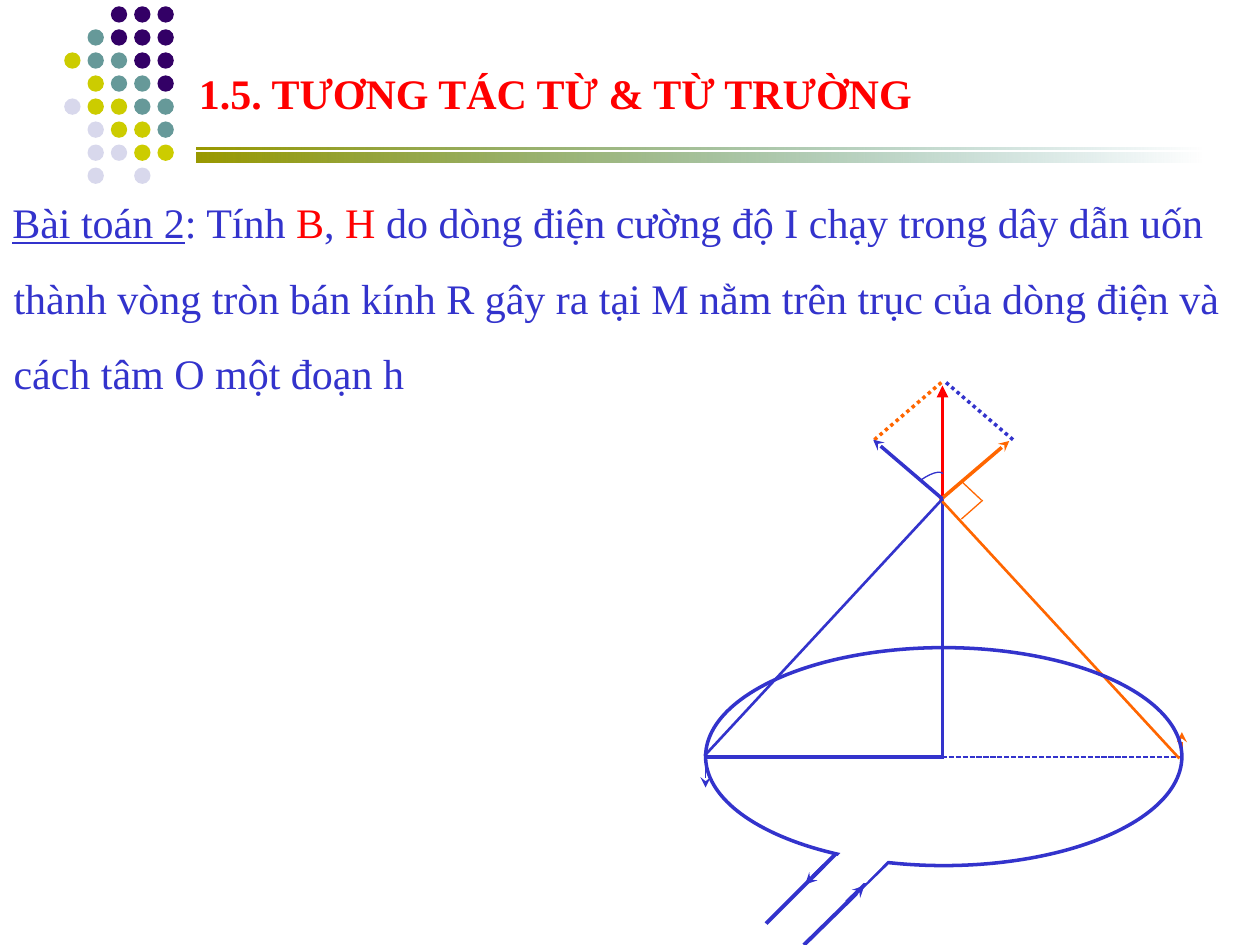
"""Build the slide on the magnetic field of a circular current loop."""
from lxml import etree
from pptx import Presentation
from pptx.dml.color import RGBColor
from pptx.enum import dml, shapes, text
from pptx.oxml import ns
from pptx.util import Inches, Pt

PURPLE = RGBColor(0x33, 0x00, 0x66)
TEAL = RGBColor(0x66, 0x99, 0x99)
LIME = RGBColor(0xCC, 0xCC, 0x00)
LILAC = RGBColor(0xD8, 0xD8, 0xEC)
OLIVE = RGBColor(0x99, 0x99, 0x00)
DARK_TEAL = RGBColor(0x00, 0x6D, 0x6D)
RED = RGBColor(0xFF, 0x00, 0x00)
BLUE = RGBColor(0x33, 0x33, 0xCC)
ORANGE = RGBColor(0xFF, 0x66, 0x00)
WHITE = RGBColor(0xFF, 0xFF, 0xFF)
FONT = "Times New Roman"
DASH = dml.MSO_LINE.SQUARE_DOT
DOT = dml.MSO_LINE.ROUND_DOT

deck = Presentation()
deck.slide_width, deck.slide_height = Inches(10), Inches(7.5)
page = deck.slides.add_slide(deck.slide_layouts[6])


def add_figure(kind, left, top, width, height, fill=None, line=None, weight=1):
    figure = page.shapes.add_shape(
        kind, Inches(left), Inches(top), Inches(width), Inches(height))
    figure.shadow.inherit = False
    if fill is None:
        figure.fill.background()
    else:
        figure.fill.solid()
        figure.fill.fore_color.rgb = fill
    if line is None:
        figure.line.fill.background()
    else:
        figure.line.color.rgb = line
        figure.line.width = Pt(weight)
    return figure


def add_text(left, top, width, height, runs):
    box = page.shapes.add_textbox(
        Inches(left), Inches(top), Inches(width), Inches(height))
    box.text_frame.word_wrap = True
    box.text_frame.vertical_anchor = text.MSO_ANCHOR.TOP
    para = box.text_frame.paragraphs[0]
    para.line_spacing = 1.5
    for words, color, bold, underline in runs:
        span = para.add_run()
        span.text = words
        span.font.name, span.font.size = FONT, Pt(24)
        span.font.color.rgb = color
        span.font.bold, span.font.underline = bold, underline
    return para


dot_colors = {"P": PURPLE, "T": TEAL, "Y": LIME, "L": LILAC}
dot_rows = ["..PPP", ".TPPP", "YTTPP", ".YTTP", "LYYTT", ".LYYT", ".LLYY", ".L.L."]
for row, codes in enumerate(dot_rows):
    for column, code in enumerate(codes):
        if code in dot_colors:
            add_figure(shapes.MSO_SHAPE.OVAL, 0.51 + 0.74 * column / 4,
                       0.05 + 1.28 * row / 7, 0.13, 0.13, dot_colors[code])

for top, height in [(1.21, 0.05), (1.27, 0.02), (1.17, 0.02)]:
    bar = add_figure(shapes.MSO_SHAPE.RECTANGLE, 1.56, top, 8, height)
    bar.fill.gradient()
    bar.fill.gradient_angle = 0
    for stop, color in zip(bar.fill.gradient_stops, (OLIVE, DARK_TEAL)):
        stop.color.rgb = color
    end_color = bar.fill._fill._gradFill.findall(".//" + ns.qn("a:srgbClr"))[-1]
    etree.SubElement(end_color, ns.qn("a:alpha"), val="0")

add_text(1.48, 0.29, 8.52, 0.63,
         [("1.5. TƯƠNG TÁC TỪ & TỪ TRƯỜNG", RED, True, False)])
problem = add_text(0, 1.31, 10, 2.5, [
    ("Bài toán 2", BLUE, False, True),
    (": Tính ", BLUE, False, False),
    ("B", RED, False, False),
    (",", BLUE, False, False),
    (" H", RED, False, False),
    (" do dòng điện cường độ I chạy trong dây dẫn uốn thành vòng tròn bán kính R "
     "gây ra tại M nằm trên trục của dòng điện và cách tâm O một đoạn h",
     BLUE, False, False),
])
indent = problem._p.get_or_add_pPr()
indent.set("marL", str(Inches(0.01)))
indent.set("indent", str(Inches(-0.01)))

diagram_lines = [
    (5.6, 6.01, 9.38, 6.01, BLUE, 1, DASH, None, None),
    (7.48, 4.01, 7.48, 3.06, RED, 2.25, None, "tailEnd", "triangle"),
    (8.04, 3.49, 7.49, 3.02, BLUE, 2, DOT, None, None),
    (6.94, 3.49, 7.49, 3.02, ORANGE, 2, DOT, None, None),
    (7.48, 6.01, 7.48, 3.95, BLUE, 1.5, None, None, None),
    (9.38, 5.81, 9.38, 6.05, ORANGE, 1, None, "headEnd", "stealth"),
    (7.47, 3.97, 9.36, 6.02, ORANGE, 1.5, None, None, None),
    (7.46, 3.97, 8.01, 3.5, ORANGE, 2, None, "tailEnd", "stealth"),
    (7.63, 3.82, 7.79, 3.97, ORANGE, 0.75, None, None, None),
    (7.8, 3.97, 7.63, 4.12, ORANGE, 0.75, None, None, None),
    (6.63, 6.78, 6.39, 7.02, BLUE, 2.25, None, "tailEnd", "stealth"),
    (6.86, 7.03, 6.38, 7.5, BLUE, 2.25, None, "headEnd", "stealth"),
    (6.54, 6.87, 6.08, 7.33, BLUE, 2.25, None, None, None),
    (7.04, 6.85, 6.72, 7.16, BLUE, 2.25, None, None, None),
    (5.6, 6.01, 7.49, 6.01, BLUE, 2.25, None, None, None),
    (5.6, 6.25, 5.6, 6.02, BLUE, 1, None, "headEnd", "stealth"),
    (7.48, 3.96, 5.59, 6, BLUE, 1.5, None, None, None),
    (7.48, 3.96, 6.93, 3.49, BLUE, 2, None, "tailEnd", "stealth"),
]
for x1, y1, x2, y2, color, weight, dash, arrow_end, arrow_kind in diagram_lines:
    line = page.shapes.add_connector(
        shapes.MSO_CONNECTOR.STRAIGHT, Inches(x1), Inches(y1), Inches(x2), Inches(y2))
    line.line.color.rgb = color
    line.line.width = Pt(weight)
    if dash:
        line.line.dash_style = dash
    if arrow_end:
        etree.SubElement(line.line._get_or_add_ln(), ns.qn("a:" + arrow_end),
                         type=arrow_kind)
    etree.SubElement(line._element.spPr, ns.qn("a:effectLst"))

add_figure(shapes.MSO_SHAPE.OVAL, 5.6, 5.14, 3.78, 1.73, line=BLUE, weight=2)
loop_gap = add_figure(shapes.MSO_SHAPE.PARALLELOGRAM, 6.66, 6.68, 0.36, 0.28,
                      WHITE, WHITE, 2)
loop_gap.rotation = 30.4
angle_mark = add_figure(shapes.MSO_SHAPE.ARC, 7.17, 3.8, 0.35, 0.13,
                        line=BLUE, weight=0.75)
angle_mark.rotation = 322.9

deck.save("out.pptx")
